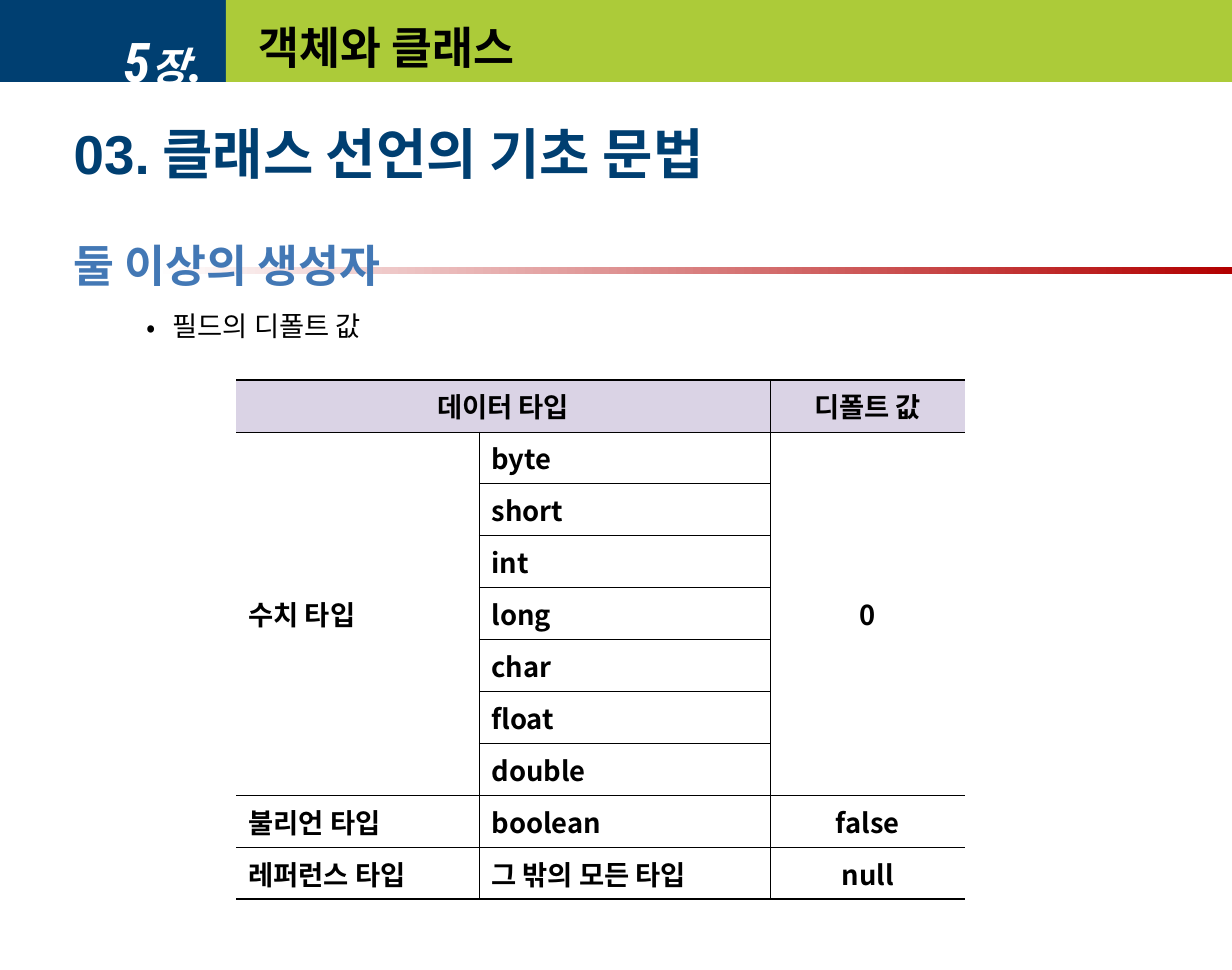
from lxml.etree import SubElement
from pptx import Presentation
from pptx.dml.color import RGBColor
from pptx.enum.shapes import MSO_SHAPE as SHAPE
from pptx.enum.text import MSO_ANCHOR as ANCHOR, PP_ALIGN as ALIGN
from pptx.oxml.ns import qn
from pptx.util import Cm, Pt

COLORS = {"navy": "003F71", "lime": "ACCB39", "red": "B20000", "blue": "4378B5",
          "lavender": "DAD3E5", "black": "000000", "white": "FFFFFF"}
KOREAN = "Noto Sans CJK KR"

CHAPTER = [("5", 32), ("장", 24), (".", 32)]
TITLE = "객체와 클래스"
SECTION = [("03.", "Arial"), (" 클래스 선언의 기초 문법", KOREAN)]
TOPIC = "둘 이상의 생성자"
BULLET = "필드의 디폴트 값"

HEADER = ["데이터 타입", "", "디폴트 값"]
GROUPS = [
    ("수치 타입", ["byte", "short", "int", "long", "char", "float", "double"], "0"),
    ("불리언 타입", ["boolean"], "false"),
    ("레퍼런스 타입", ["그 밖의 모든 타입"], "null"),
]
COL_WIDTHS = [5.01, 6, 4.02]
ROW_HEIGHT = 1.07
THIN, THICK = 0.45, 1.08


def rgb(name):
    return RGBColor.from_string(COLORS[name])


def add_run(p, text, size, font=KOREAN, color="black", **style):
    r = p.add_run()
    r.text = text
    for key, value in {"size": Pt(size), "name": font, "bold": True, **style}.items():
        setattr(r.font, key, value)
    r.font.color.rgb = rgb(color)
    latin = r.font._element.find(qn("a:latin"))
    east_asian = latin.makeelement(qn("a:ea"), {"typeface": KOREAN})
    latin.addnext(east_asian)


def add_band(s, left, top, width, height, color):
    sp = s.shapes.add_shape(SHAPE.RECTANGLE, Cm(left), Cm(top), Cm(width), Cm(height))
    sp.shadow.inherit = False
    sp.line.fill.background()
    sp.fill.solid()
    sp.fill.fore_color.rgb = rgb(color)
    return sp


def add_text_box(s, left, top, width, height, anchor):
    tf = s.shapes.add_textbox(Cm(left), Cm(top), Cm(width), Cm(height)).text_frame
    tf.word_wrap = True
    tf.vertical_anchor = anchor
    return tf


def add_border(cell, side, width):
    ln = SubElement(cell._tc.get_or_add_tcPr(), qn(f"a:ln{side}"), w=str(int(Pt(width))))
    if width:
        fill = SubElement(ln, qn("a:solidFill"))
        SubElement(fill, qn("a:srgbClr"), val=COLORS["black"])
    else:
        SubElement(ln, qn("a:noFill"))


def add_header(s):
    add_band(s, 0, 0, 4.66, 1.69, "navy")
    p = add_text_box(s, 0, 0.2, 4.45, 2.1, ANCHOR.MIDDLE).paragraphs[0]
    p.alignment = ALIGN.RIGHT
    for text, size in CHAPTER:
        add_run(p, text, size, "Roboto Condensed", "white", italic=True)
    add_band(s, 4.66, 0, 20.74, 1.69, "lime")
    title = s.shapes.title
    place = {"left": 5.08, "top": 0.2, "width": 19.89, "height": 1.52}
    for key, value in place.items():
        setattr(title, key, Cm(value))
    title.text_frame.vertical_anchor = ANCHOR.MIDDLE
    p = title.text_frame.paragraphs[0]
    p.alignment = ALIGN.LEFT
    add_run(p, TITLE, 26)
    s.shapes._spTree.append(title._element)


def add_body(s):
    rule = add_band(s, 3.18, 5.5, 22.22, 0.15, "red")
    rule.fill.gradient()
    rule.fill.gradient_angle = 180
    for stop, color in zip(rule.fill.gradient_stops, ["red", "white"]):
        stop.color.rgb = rgb(color)

    tf = add_text_box(s, 1.27, 2.49, 22.83, 14.89, ANCHOR.TOP)
    section, topic, bullet = tf.paragraphs[0], tf.add_paragraph(), tf.add_paragraph()
    for p in tf.paragraphs:
        p.line_spacing = 0.9
    for text, font in SECTION:
        add_run(section, text, 32, font, "navy")
    topic.space_before, topic.space_after = Pt(34), Pt(8)
    add_run(topic, TOPIC, 26, "Arial Narrow", "blue")
    bullet.space_before = Pt(4)
    pPr = bullet._p.get_or_add_pPr()
    pPr.set("marL", str(Cm(2.04)))
    pPr.set("indent", str(Cm(-0.54)))
    SubElement(pPr, qn("a:buFont"), typeface=KOREAN)
    SubElement(pPr, qn("a:buChar"), char="•")
    add_run(bullet, BULLET, 16, bold=False)


def add_type_table(s):
    rows = [HEADER]
    spans = [(0, 0, 0, 1)]
    for name, types, default in GROUPS:
        first, last = len(rows), len(rows) + len(types) - 1
        if last > first:
            spans += [(first, col, last, col) for col in (0, 2)]
        rows += [[name if i == 0 else "", t, default if i == 0 else ""]
                 for i, t in enumerate(types)]

    n_rows, n_cols = len(rows), len(COL_WIDTHS)
    table = s.shapes.add_table(n_rows, n_cols, Cm(4.87), Cm(7.83), Cm(sum(COL_WIDTHS)),
                               Cm(ROW_HEIGHT * n_rows)).table
    table.horz_banding = False
    for col, width in zip(table.columns, COL_WIDTHS):
        col.width = Cm(width)
    for row in table.rows:
        row.height = Cm(ROW_HEIGHT)
    for top, left, bottom, right in spans:
        table.cell(top, left).merge(table.cell(bottom, right))

    for i, row in enumerate(rows):
        for j, text in enumerate(row):
            cell = table.cell(i, j)
            borders = {"L": THIN if j else 0,
                       "R": THIN if j < n_cols - 1 else 0,
                       "T": THIN if i else THICK,
                       "B": THIN if i < n_rows - 1 else THICK}
            for side, width in borders.items():
                add_border(cell, side, width)
            if i == 0:
                cell.fill.solid()
                cell.fill.fore_color.rgb = rgb("lavender")
            else:
                cell.fill.background()
            cell.vertical_anchor = ANCHOR.MIDDLE
            if text:
                p = cell.text_frame.paragraphs[0]
                p.alignment = ALIGN.CENTER if i == 0 or j == 2 else ALIGN.LEFT
                add_run(p, text, 16)


def main():
    prs = Presentation()
    prs.slide_width, prs.slide_height = Cm(25.4), Cm(19.99)
    s = prs.slides.add_slide(prs.slide_layouts[5])
    add_header(s)
    add_body(s)
    add_type_table(s)
    prs.save("out.pptx")


if __name__ == "__main__":
    main()
